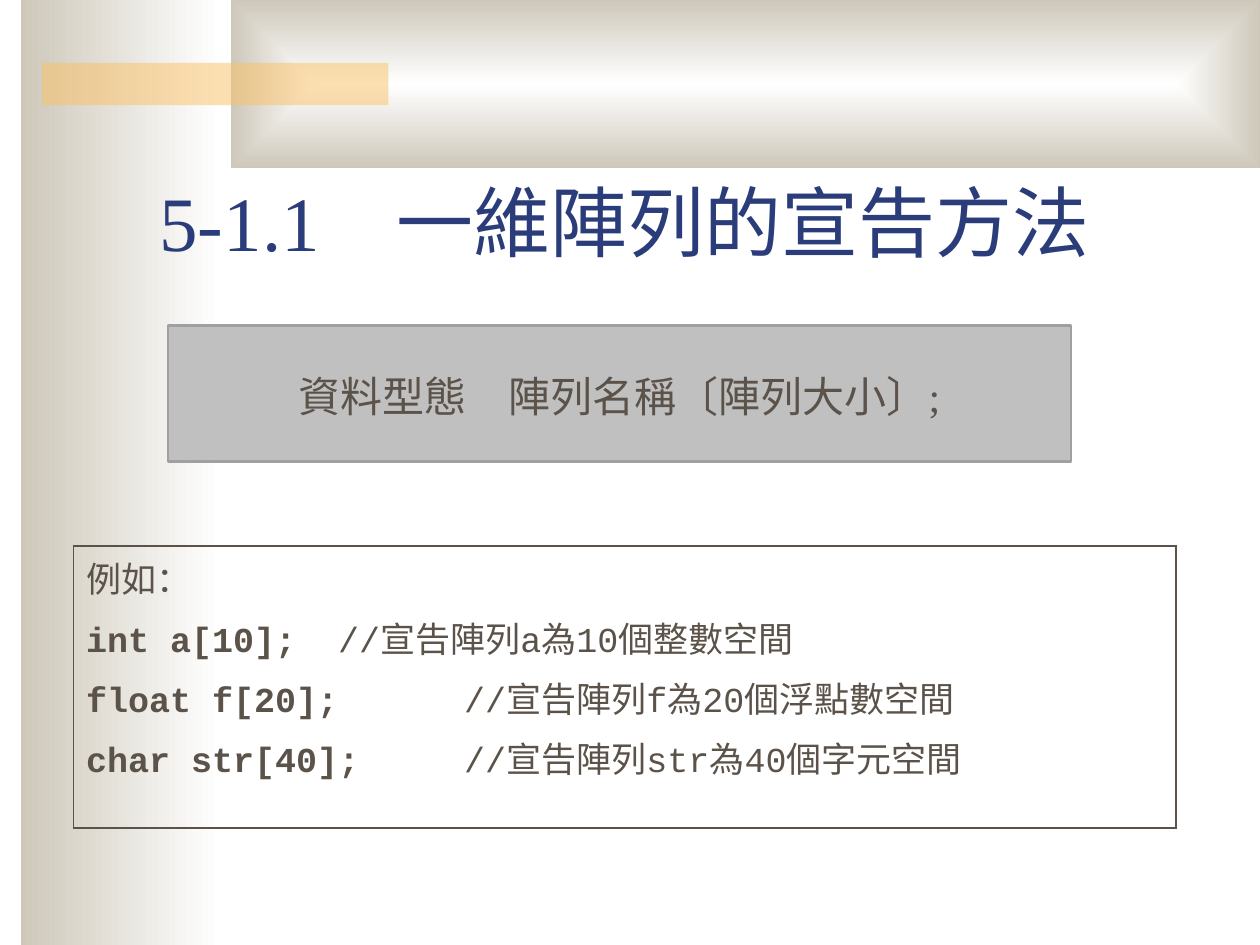
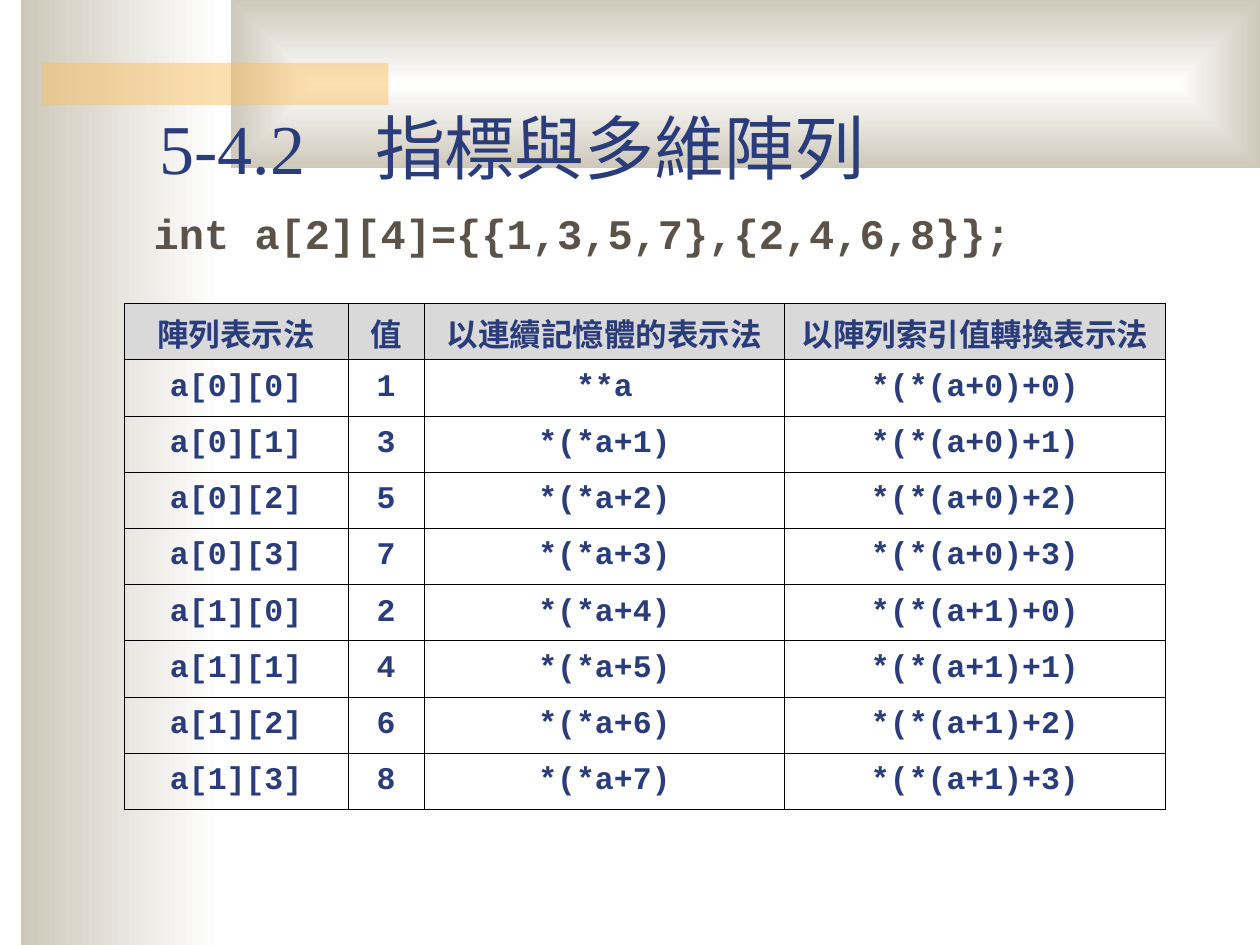
"""Build two slides on declaring arrays and on pointers to multidimensional arrays."""
import dataclasses

import lxml.etree
import pptx
import pptx.dml.color
import pptx.enum.shapes
import pptx.enum.text
import pptx.oxml.ns
import pptx.util

Cm = pptx.util.Cm
Pt = pptx.util.Pt
qn = pptx.oxml.ns.qn
Color = pptx.dml.color.RGBColor.from_string
Align = pptx.enum.text.PP_ALIGN
Anchor = pptx.enum.text.MSO_ANCHOR


@dataclasses.dataclass(frozen=True)
class Theme:
    navy: str = "2A3D7A"
    brown: str = "5B5249"
    sand: str = "CEC8BA"
    amber: str = "FAC164"
    white: str = "FFFFFF"
    black: str = "000000"
    silver: str = "C0C0C0"
    edge: str = "A0A0A0"
    header: str = "D9D9D9"
    serif: str = "Times New Roman"
    mono: str = "Courier New"
    title_size: int = 44
    small_title_size: int = 40
    syntax_size: int = 24
    example_size: int = 20
    table_size: int = 18


theme = Theme()


def add_text(paragraph, text, *, size, color, font=theme.mono, bold=False, align=Align.LEFT):
    paragraph.alignment = align
    run = paragraph.add_run()
    run.text = text
    run.font.size = Pt(size)
    run.font.name = font
    run.font.bold = bold
    run.font.color.rgb = Color(color)


def set_borders(cell, color, widths):
    properties = cell._tc.get_or_add_tcPr()
    for index, (side, width) in enumerate(widths.items()):
        line = lxml.etree.Element(qn(f"a:{side}"), w=str(Pt(width)))
        fill = lxml.etree.SubElement(line, qn("a:solidFill"))
        lxml.etree.SubElement(fill, qn("a:srgbClr"), val=color)
        properties.insert(index, line)


presentation = pptx.Presentation()
presentation.slide_width = Cm(25.4)
presentation.slide_height = Cm(19.05)
layout = presentation.slide_layouts[5]

titles = [
    ("5-1.1　一維陣列的宣告方法", theme.title_size, 3.18),
    ("5-4.2　指標與多維陣列", theme.small_title_size, 1.6),
]
slides = []
for text, size, height in titles:
    slide = presentation.slides.add_slide(layout)
    title = slide.shapes.title
    title.left, title.top, title.width, title.height = Cm(2.96), Cm(2.33), Cm(21.59), Cm(height)
    title.text_frame.auto_size = pptx.enum.text.MSO_AUTO_SIZE.NONE
    title.text_frame.vertical_anchor = Anchor.BOTTOM
    add_text(title.text_frame.paragraphs[0], text, size=size, color=theme.navy, font=theme.serif)
    slides.append(slide)
declaration_slide, pointer_slide = slides

band_boxes = [(0.42, 0, 4.02, 19.05), (4.66, 0, 20.74, 3.39), (0.85, 1.27, 6.98, 0.85)]
bands = []
for position, box in enumerate(band_boxes, start=2):
    band = declaration_slide.shapes.add_shape(
        pptx.enum.shapes.MSO_SHAPE.RECTANGLE, *map(Cm, box))
    band.shadow.inherit = False
    band.line.fill.background()
    layout.shapes.element.insert(position, band.element)
    bands.append(band)
side_band, top_band, accent_bar = bands

for band in (side_band, top_band):
    band.fill.gradient()
    band.fill.gradient_angle = 180
    for stop, color in zip(band.fill.gradient_stops, (theme.white, theme.sand)):
        stop.color.rgb = Color(color)

gradient = top_band.element.spPr.find(qn("a:gradFill"))
center = lxml.etree.Element(qn("a:path"), path="rect")
lxml.etree.SubElement(center, qn("a:fillToRect"), l="50000", t="50000", r="50000", b="50000")
gradient.replace(gradient.find(qn("a:lin")), center)

accent_bar.fill.solid()
accent_bar.fill.fore_color.rgb = Color(theme.amber)
accent_color = accent_bar.element.spPr.find(f"{qn('a:solidFill')}/{qn('a:srgbClr')}")
lxml.etree.SubElement(accent_color, qn("a:alpha"), val="50000")

syntax_box = declaration_slide.shapes.add_shape(
    pptx.enum.shapes.MSO_SHAPE.RECTANGLE, Cm(3.39), Cm(6.56), Cm(18.2), Cm(2.74))
syntax_box.shadow.inherit = False
syntax_box.fill.solid()
syntax_box.fill.fore_color.rgb = Color(theme.silver)
syntax_box.line.color.rgb = Color(theme.edge)
syntax_box.line.width = Pt(1.5)
syntax_box.text_frame.vertical_anchor = Anchor.TOP
syntax_box.text_frame.margin_top = Cm(0.91)
add_text(syntax_box.text_frame.paragraphs[0], "資料型態　陣列名稱〔陣列大小〕;",
         size=theme.syntax_size, color=theme.brown, font=theme.serif, align=Align.CENTER)

example_table = declaration_slide.shapes.add_table(
    1, 1, Cm(1.48), Cm(11), Cm(22.23), Cm(5.69)).table
example_table.first_row = example_table.horz_banding = False
example_cell = example_table.cell(0, 0)
example_cell.fill.background()
set_borders(example_cell, theme.brown, dict.fromkeys(("lnL", "lnR", "lnT", "lnB"), 1.08))
example_frame = example_cell.text_frame
add_text(example_frame.paragraphs[0], "例如：", size=theme.example_size,
         color=theme.brown, font=theme.serif, align=Align.JUSTIFY)
declarations = [
    ("int a[10];", "//宣告陣列a為10個整數空間"),
    ("float f[20];", "//宣告陣列f為20個浮點數空間"),
    ("char str[40];", "//宣告陣列str為40個字元空間"),
]
for code, comment in declarations:
    paragraph = example_frame.add_paragraph()
    tabs = lxml.etree.SubElement(paragraph._p.get_or_add_pPr(), qn("a:tabLst"))
    for inch in range(8):
        lxml.etree.SubElement(tabs, qn("a:tab"), pos=str(Cm(2.54 * inch)), algn="l")
    paragraph.space_before = Pt(5)
    for text, bold in ((code + "\t", True), (comment, False)):
        add_text(paragraph, text, size=theme.example_size, color=theme.brown,
                 bold=bold, align=Align.JUSTIFY)

array_code = pointer_slide.shapes.add_textbox(Cm(2.85), Cm(4.06), Cm(17.78), Cm(1.27))
array_code.text_frame.word_wrap = False
add_text(array_code.text_frame.paragraphs[0], "int a[2][4]={{1,3,5,7},{2,4,6,8}};",
         size=theme.syntax_size, color=theme.brown, bold=True)

array_values = [[1, 3, 5, 7], [2, 4, 6, 8]]
rows = [("陣列表示法", "值", "以連續記憶體的表示法", "以陣列索引值轉換表示法")]
for i, values in enumerate(array_values):
    for j, value in enumerate(values):
        offset = i * len(values) + j
        flat = f"*(*a+{offset})" if offset else "**a"
        rows.append((f"a[{i}][{j}]", str(value), flat, f"*(*(a+{i})+{j})"))

column_widths = [4.52, 1.53, 7.27, 7.67]
pointer_table = pointer_slide.shapes.add_table(
    len(rows), len(column_widths), Cm(2.5), Cm(6.12), Cm(sum(column_widths)), Cm(10.2)).table
pointer_table.first_row = pointer_table.horz_banding = False
for column, width in zip(pointer_table.columns, column_widths):
    column.width = Cm(width)
for row_index, row in enumerate(rows):
    for column_index, text in enumerate(row):
        cell = pointer_table.cell(row_index, column_index)
        cell.vertical_anchor = Anchor.MIDDLE
        if row_index == 0:
            cell.fill.solid()
            cell.fill.fore_color.rgb = Color(theme.header)
        else:
            cell.fill.background()
        set_borders(cell, theme.black, {"lnL": 0.34, "lnR": 0.34, "lnT": 0.45, "lnB": 0.45})
        add_text(cell.text_frame.paragraphs[0], text, size=theme.table_size,
                 color=theme.navy, bold=True, align=Align.CENTER)

presentation.save("out.pptx")
